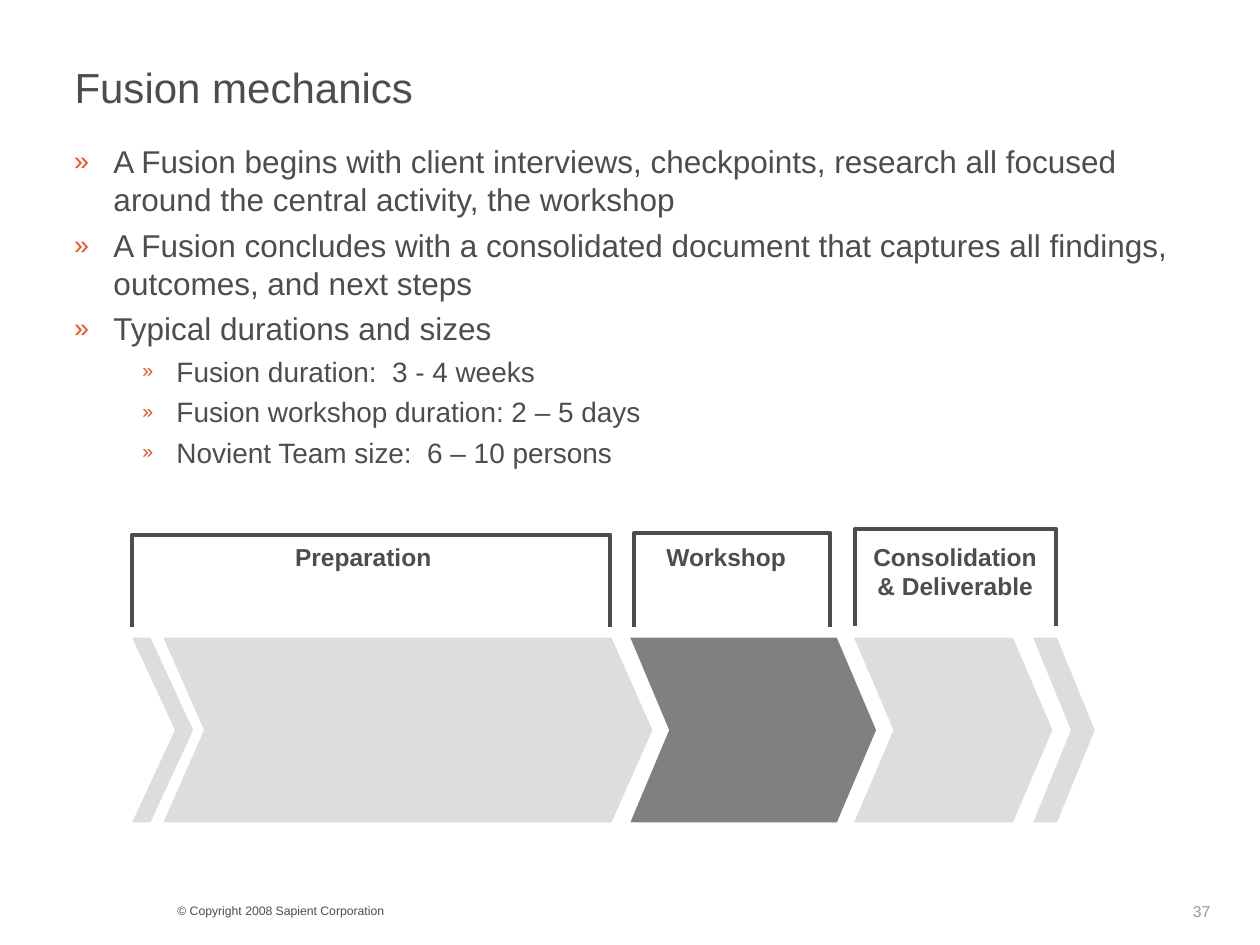
from dataclasses import dataclass

from lxml.etree import SubElement
from pptx import Presentation
from pptx.dml.color import RGBColor
from pptx.enum.text import MSO_ANCHOR as Anchor, PP_ALIGN as Align
from pptx.oxml.ns import qn
from pptx.shapes.autoshape import Shape
from pptx.slide import Slide
from pptx.text.text import TextFrame, _Paragraph as Paragraph
from pptx.util import Pt

FONT = "Arial"
CHARCOAL = RGBColor(0x4D, 0x4D, 0x4D)
MID_GRAY = RGBColor(0x80, 0x80, 0x80)
PAGE_GRAY = RGBColor(0x99, 0x99, 0x99)
LIGHT_GRAY = RGBColor(0xDD, 0xDD, 0xDD)
ORANGE = RGBColor(0xF0, 0x4E, 0x22)

CHEVRON_TOP, CHEVRON_BOTTOM = 364.4, 470


@dataclass(frozen=True)
class BulletLevel:
    level: int
    size: float
    margin: float
    hanging: float
    space: float
    bullet_percent: int


@dataclass(frozen=True)
class Bracket:
    left: float
    top: float
    right: float
    bottom: float


@dataclass(frozen=True)
class Chevron:
    left: float
    shoulder: float
    notch: float
    tip: float
    color: RGBColor


@dataclass(frozen=True)
class Label:
    lines: tuple[str, ...]
    left: float
    width: float
    height: float
    align: Align = Align.LEFT


MAIN = BulletLevel(0, 18, 22.5, 22.5, 4.5, 85)
SUB = BulletLevel(1, 16, 58.5, 19.5, 4, 70)

POINTS = (
    (MAIN, "A Fusion begins with client interviews, checkpoints, research all "
           "focused around the central activity, the workshop"),
    (MAIN, "A Fusion concludes with a consolidated document that captures all "
           "findings, outcomes, and next steps"),
    (MAIN, "Typical durations and sizes"),
    (SUB, "Fusion duration:  3 - 4 weeks"),
    (SUB, "Fusion workshop duration: 2 – 5 days"),
    (SUB, "Novient Team size:  6 – 10 persons"),
)

BRACKETS = (
    Bracket(75.5, 305.5, 348.8, 358.5),
    Bracket(362.2, 304.5, 474.5, 358.5),
    Bracket(488.4, 302.2, 603.5, 357.5),
)

CHEVRONS = (
    Chevron(75.5, 86, 100, 110.4, LIGHT_GRAY),
    Chevron(93.4, 349.4, 116.6, 372.8, LIGHT_GRAY),
    Chevron(360.2, 478.2, 382.4, 500.6, MID_GRAY),
    Chevron(488, 578.8, 510.6, 601.4, LIGHT_GRAY),
    Chevron(590.4, 604, 612, 625.6, LIGHT_GRAY),
)

LABELS = (
    Label(("Preparation",), 161.5, 96, 24.5),
    Label(("Workshop",), 373.7, 84, 24.5),
    Label(("Consolidation", "& Deliverable"), 490.8, 110, 41, Align.CENTER),
)


def add_frame(slide: Slide, left: float, top: float, width: float,
              height: float, wrap: bool = True) -> TextFrame:
    frame = slide.shapes.add_textbox(
        Pt(left), Pt(top), Pt(width), Pt(height)).text_frame
    frame.word_wrap = wrap
    return frame


def next_paragraph(frame: TextFrame, index: int) -> Paragraph:
    return frame.paragraphs[0] if index == 0 else frame.add_paragraph()


def add_run(paragraph: Paragraph, text: str, size: float,
            color: RGBColor = CHARCOAL, bold: bool = False) -> None:
    run = paragraph.add_run()
    run.text = text
    run.font.name = FONT
    run.font.size = Pt(size)
    run.font.bold = bold
    run.font.color.rgb = color


def set_bullet(paragraph: Paragraph, style: BulletLevel) -> None:
    properties = paragraph._p.get_or_add_pPr()
    properties.set("marL", str(Pt(style.margin)))
    properties.set("indent", str(-Pt(style.hanging)))
    color = SubElement(properties, qn("a:buClr"))
    SubElement(color, qn("a:srgbClr"), val=str(ORANGE))
    SubElement(properties, qn("a:buSzPct"), val=str(style.bullet_percent * 1000))
    SubElement(properties, qn("a:buFont"), typeface=FONT)
    SubElement(properties, qn("a:buChar"), char="»")


def add_points(slide: Slide) -> None:
    frame = add_frame(slide, 35.3, 77.8, 648, 196.6)
    for index, (style, text) in enumerate(POINTS):
        paragraph = next_paragraph(frame, index)
        paragraph.level = style.level
        set_bullet(paragraph, style)
        if index:
            paragraph.space_before = Pt(style.space)
        add_run(paragraph, text, style.size)


def add_outline(slide: Slide, corners: list[tuple[float, float]],
                close: bool) -> Shape:
    start, *rest = [(Pt(x), Pt(y)) for x, y in corners]
    builder = slide.shapes.build_freeform(*start)
    builder.add_line_segments(rest, close=close)
    outline = builder.convert_to_shape()
    outline.shadow.inherit = False
    return outline


def add_bracket(slide: Slide, bracket: Bracket) -> None:
    outline = add_outline(slide, [
        (bracket.left, bracket.bottom), (bracket.left, bracket.top),
        (bracket.right, bracket.top), (bracket.right, bracket.bottom),
    ], close=False)
    outline.fill.background()
    outline.line.color.rgb = CHARCOAL
    outline.line.width = Pt(2.25)


def add_chevron(slide: Slide, chevron: Chevron) -> None:
    middle = (CHEVRON_TOP + CHEVRON_BOTTOM) / 2
    outline = add_outline(slide, [
        (chevron.left, CHEVRON_TOP), (chevron.shoulder, CHEVRON_TOP),
        (chevron.tip, middle), (chevron.shoulder, CHEVRON_BOTTOM),
        (chevron.left, CHEVRON_BOTTOM), (chevron.notch, middle),
    ], close=True)
    outline.fill.solid()
    outline.fill.fore_color.rgb = chevron.color
    outline.line.fill.background()


def add_label(slide: Slide, label: Label) -> None:
    frame = add_frame(slide, label.left, 306, label.width, label.height, wrap=False)
    for index, line in enumerate(label.lines):
        paragraph = next_paragraph(frame, index)
        paragraph.alignment = label.align
        add_run(paragraph, line, 14, bold=True)


def main() -> None:
    deck = Presentation()
    deck.slide_width, deck.slide_height = Pt(720), Pt(540)
    slide = deck.slides.add_slide(deck.slide_layouts[6])

    copyright_line = add_frame(slide, 94.3, 512.6, 288, 15.8)
    add_run(copyright_line.paragraphs[0], "© Copyright 2008 Sapient Corporation", 7)
    page_number = add_frame(slide, 674.6, 512, 54, 17.3)
    add_run(page_number.paragraphs[0], "37", 9, PAGE_GRAY)
    title = add_frame(slide, 35.5, 30, 648.7, 39.6)
    title.vertical_anchor = Anchor.MIDDLE
    add_run(title.paragraphs[0], "Fusion mechanics", 24)

    add_points(slide)
    for bracket in BRACKETS:
        add_bracket(slide, bracket)
    for chevron in CHEVRONS:
        add_chevron(slide, chevron)
    for label in LABELS:
        add_label(slide, label)
    deck.save("out.pptx")


if __name__ == "__main__":
    main()
